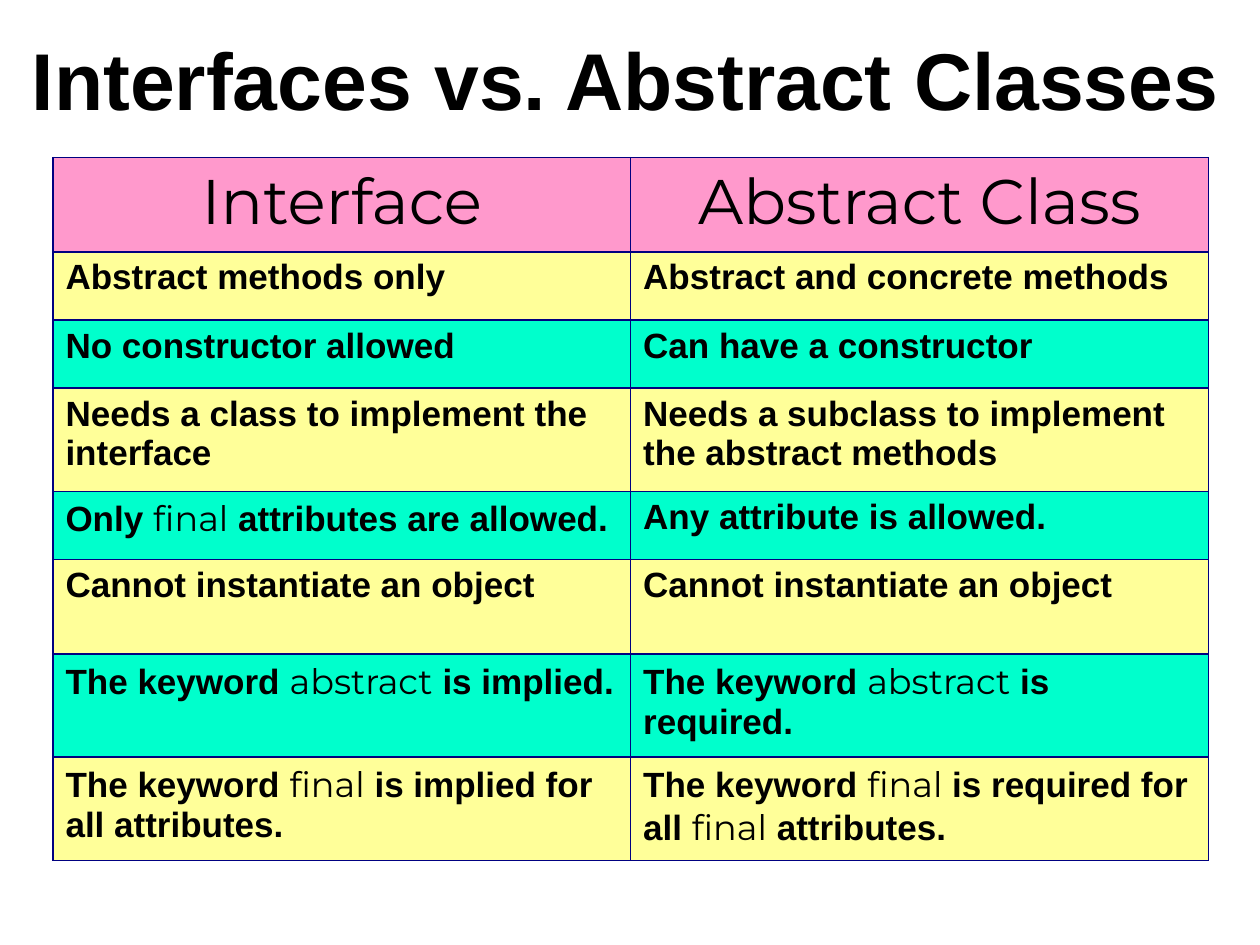
from typing import NamedTuple

from lxml import etree
from pptx import Presentation
from pptx import util as u
from pptx.dml.color import RGBColor
from pptx.enum import text
from pptx.oxml import ns

BLACK = RGBColor(0x00, 0x00, 0x00)
NAVY = RGBColor(0x00, 0x00, 0x80)
PINK = RGBColor(0xFF, 0x99, 0xCC)
YELLOW = RGBColor(0xFF, 0xFF, 0x99)
GREEN = RGBColor(0x00, 0xFF, 0xCC)

TITLE_FONT = {"name": "Arial", "size": u.Pt(46), "bold": True}
HEADER_FONT = {"name": "Montserrat", "size": u.Pt(36), "bold": False}
BODY_FONT = {"name": "Arial", "size": u.Pt(20), "bold": True}
KEYWORD_FONT = {"name": "Montserrat", "size": u.Pt(20), "bold": False}
KEYWORD_MARK = "|"


class Comparison(NamedTuple):
    interface: str
    abstract_class: str
    height: float


HEADER = Comparison("Interface", "Abstract Class", 0.75)
COMPARISONS = [
    Comparison("Abstract methods only", "Abstract and concrete methods", 0.54),
    Comparison("No constructor allowed", "Can have a constructor", 0.54),
    Comparison("Needs a class to implement the interface",
               "Needs a subclass to implement the abstract methods", 0.82),
    Comparison("Only |final| attributes are allowed.",
               "Any attribute is allowed.", 0.54),
    Comparison("Cannot instantiate an object",
               "Cannot instantiate an object", 0.75),
    Comparison("The keyword |abstract| is implied.",
               "The keyword |abstract| is required.", 0.82),
    Comparison("The keyword |final| is implied for all attributes.",
               "The keyword |final| is required for all |final| attributes.", 0.82),
]


def add_run(paragraph, wording: str, font_format: dict) -> None:
    run = paragraph.add_run()
    run.text = wording
    for attribute, value in font_format.items():
        setattr(run.font, attribute, value)
    run.font.color.rgb = BLACK


def add_marked_text(paragraph, wording: str) -> None:
    """Write body text, with the words between marks in the keyword font."""
    for index, part in enumerate(wording.split(KEYWORD_MARK)):
        add_run(paragraph, part, KEYWORD_FONT if index % 2 else BODY_FONT)


def add_borders(cell, color: RGBColor, width: int) -> None:
    properties = cell._tc.get_or_add_tcPr()
    for index, side in enumerate(("a:lnL", "a:lnR", "a:lnT", "a:lnB")):
        line = etree.Element(ns.qn(side), w=str(width))
        fill = etree.SubElement(line, ns.qn("a:solidFill"))
        etree.SubElement(fill, ns.qn("a:srgbClr"), val=str(color))
        properties.insert(index, line)


def add_title(slide, wording: str) -> None:
    title = slide.shapes.title
    title.left, title.top = u.Inches(0), u.Inches(0)
    title.width, title.height = u.Inches(9.92), u.Inches(1.25)
    frame = title.text_frame
    frame.auto_size = text.MSO_AUTO_SIZE.NONE
    frame.vertical_anchor = text.MSO_ANCHOR.MIDDLE
    frame.paragraphs[0].alignment = text.PP_ALIGN.CENTER
    add_run(frame.paragraphs[0], wording, TITLE_FONT)


def add_comparison_table(slide, rows: list[Comparison]) -> None:
    height = sum(row.height for row in rows)
    table = slide.shapes.add_table(
        len(rows), 2, u.Inches(0.42), u.Inches(1.25),
        u.Inches(9.17), u.Inches(height)).table
    for row_index, row in enumerate(rows):
        table.rows[row_index].height = u.Inches(row.height)
        is_header = row_index == 0
        band = PINK if is_header else YELLOW if row_index % 2 else GREEN
        for column, wording in enumerate((row.interface, row.abstract_class)):
            cell = table.cell(row_index, column)
            cell.fill.solid()
            cell.fill.fore_color.rgb = band
            add_borders(cell, NAVY, u.Pt(1))
            paragraph = cell.text_frame.paragraphs[0]
            if is_header:
                paragraph.alignment = text.PP_ALIGN.CENTER
                add_run(paragraph, wording, HEADER_FONT)
            else:
                add_marked_text(paragraph, wording)


def main() -> None:
    presentation = Presentation()
    presentation.slide_width = u.Inches(10)
    presentation.slide_height = u.Inches(7.5)
    title_only = presentation.slide_layouts.get_by_name("Title Only")
    slide = presentation.slides.add_slide(title_only)
    add_title(slide, "Interfaces vs. Abstract Classes")
    add_comparison_table(slide, [HEADER, *COMPARISONS])
    presentation.save("out.pptx")


if __name__ == "__main__":
    main()
